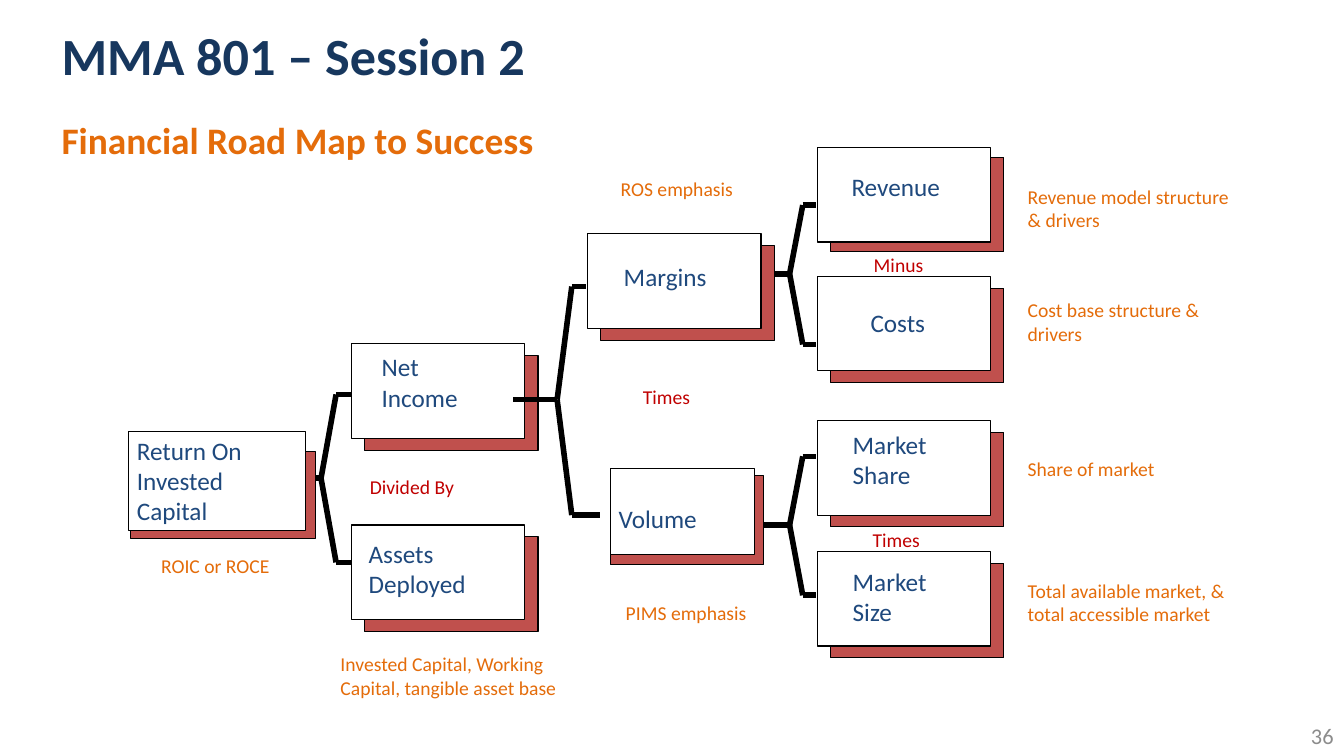
from lxml import etree
from pptx import Presentation
from pptx import util as u
from pptx.dml.color import RGBColor
from pptx.enum import shapes, text
from pptx.oxml.ns import qn

COLORS = {
    "navy": "17375E",
    "blue": "1F497D",
    "orange": "E46C0A",
    "red": "C00000",
    "brick": "C0504D",
    "white": "FFFFFF",
    "black": "000000",
    "gray": "8C8C8C",
}
FONT = "Calibri"
BOX_SIZE = (4.37, 2.39)
SHADOW_OFFSET = (0.33, 0.3)
BOX_INSETS = (0.2, 0.1)
NOTE_INSETS = (0.25, 0.13)


def color(name):
    return RGBColor.from_string(COLORS[name])


def place(shape, left, top, width, height):
    shape.left, shape.top = u.Cm(left), u.Cm(top)
    shape.width, shape.height = u.Cm(width), u.Cm(height)


def write(shape, lines, size, color_name, bold=False, insets=NOTE_INSETS,
          anchor=text.MSO_ANCHOR.TOP, align=text.PP_ALIGN.LEFT):
    frame = shape.text_frame
    frame.word_wrap = True
    frame.auto_size = text.MSO_AUTO_SIZE.NONE
    frame.vertical_anchor = anchor
    frame.margin_left = frame.margin_right = u.Cm(insets[0])
    frame.margin_top = frame.margin_bottom = u.Cm(insets[1])
    for index, line in enumerate(lines):
        paragraph = frame.add_paragraph() if index else frame.paragraphs[0]
        paragraph.alignment = align
        run = paragraph.add_run()
        run.text = line
        run.font.name = FONT
        run.font.size = u.Pt(size)
        run.font.bold = bold
        run.font.color.rgb = color(color_name)


def add_label(slide, box, lines, size, color_name, **options):
    shape = slide.shapes.add_textbox(*(u.Cm(length) for length in box))
    write(shape, lines, size, color_name, **options)


def add_rectangle(slide, box, fill):
    shape = slide.shapes.add_shape(
        shapes.MSO_SHAPE.RECTANGLE, *(u.Cm(length) for length in box))
    shape.shadow.inherit = False
    shape.fill.solid()
    shape.fill.fore_color.rgb = color(fill)
    shape.line.color.rgb = color("black")
    shape.line.width = u.Pt(0.75)
    return shape


def add_box(slide, left, top, size=BOX_SIZE, shadow=None):
    offset_x, offset_y = SHADOW_OFFSET
    add_rectangle(slide, shadow or (left + offset_x, top + offset_y, *size), "brick")
    return add_rectangle(slide, (left, top, *size), "white")


def add_line(slide, start, end):
    connector = slide.shapes.add_connector(
        shapes.MSO_CONNECTOR.STRAIGHT, *(u.Cm(length) for length in (*start, *end)))
    connector.line.color.rgb = color("black")
    connector.line.width = u.Pt(4)
    etree.SubElement(connector._element.spPr, qn("a:effectLst"))


def add_bracket(slide, start, joint, knee, middle, branches):
    add_line(slide, (start, middle), (joint, middle))
    for end, level in branches:
        add_line(slide, (joint, middle), (knee, level))
        add_line(slide, (knee, level), (end, level))


def add_headings(slide):
    title = slide.shapes.title
    place(title, 1.3, 0.18, 27.79, 2.39)
    write(title, ["MMA 801 – Session 2"], 37.3, "navy", bold=True,
          anchor=text.MSO_ANCHOR.MIDDLE)
    body = slide.placeholders[1]
    place(body, 1.3, 2.82, 31.37, 14.2)
    write(body, ["Financial Road Map to Success"], 26.7, "orange", bold=True)
    properties = body.text_frame.paragraphs[0]._p.get_or_add_pPr()
    properties.set("marL", "0")
    properties.set("indent", "0")
    etree.SubElement(properties, qn("a:buNone"))


def add_tree(slide):
    add_bracket(slide, 18.95, 19.9, 20.23, 6.9, [(20.57, 5.17), (20.57, 8.68)])
    add_bracket(slide, 18.95, 19.9, 20.23, 13.23, [(20.57, 11.5), (20.57, 15)])
    add_bracket(slide, 6.99, 8.09, 8.47, 12.05, [(8.85, 9.94), (8.85, 14.17)])

    add_box(slide, 20.6, 3.71, shadow=(20.93, 3.96, *BOX_SIZE))
    for left, top in [(20.6, 6.96), (20.6, 10.59), (20.6, 13.89),
                      (8.86, 8.66), (8.86, 13.23), (14.81, 5.89)]:
        add_box(slide, left, top)
    volume = add_box(slide, 15.39, 11.81, (3.63, 2.16), (15.39, 11.99, 3.86, 2.24))
    write(volume, ["Volume"], 18, "blue", insets=(0.2, 0.88))
    capital = add_box(slide, 3.25, 10.87, (4.45, 2.51), (3.28, 11.38, 4.67, 2.18))
    write(capital, ["Return On", "Invested Capital"], 18, "blue", insets=BOX_INSETS)

    add_bracket(slide, 12.93, 14.04, 14.41, 10.07, [(14.78, 7.22), (15.11, 12.98)])


def add_labels(slide):
    names = [
        (21.26, 4.22, ["Revenue"]),
        (21.74, 7.65, ["Costs"]),
        (15.52, 6.48, ["Margins"]),
        (9.42, 8.76, ["Net", "Income"]),
        (9.09, 13.46, ["Assets", "Deployed"]),
        (21.29, 10.72, ["Market", "Share"]),
        (21.29, 14.17, ["Market", "Size"]),
    ]
    for left, top, lines in names:
        add_label(slide, (left, top, 3.5, 0.4 + 0.8 * len(lines)), lines, 18, "blue",
                  insets=BOX_INSETS)

    operators = [
        (21.82, 6.27, "Minus"),
        (9.12, 11.86, "Divided By"),
        (21.79, 13.21, "Times"),
        (16, 9.6, "Times"),
    ]
    for left, top, operator in operators:
        add_label(slide, (left, top, 2.9, 0.79), [operator], 14, "red", insets=BOX_INSETS)

    notes = [
        (8.33, 16.31, 6.27, "Invested Capital, Working Capital, tangible asset base"),
        (25.65, 4.52, 5.69, "Revenue model structure & drivers"),
        (25.65, 7.39, 5.69, "Cost base structure & drivers"),
        (25.65, 14.45, 5.69, "Total available market, & total accessible market"),
        (25.65, 11.38, 4.32, "Share of market"),
        (15.52, 15.01, 3.66, "PIMS emphasis"),
        (15.39, 4.32, 3.66, "ROS emphasis"),
        (3.81, 13.84, 3.81, "ROIC or ROCE"),
    ]
    for left, top, width, note in notes:
        add_label(slide, (left, top, width, 1.45), [note], 14, "orange")


def main():
    presentation = Presentation()
    presentation.slide_width = u.Cm(33.87)
    presentation.slide_height = u.Cm(19.05)
    slide = presentation.slides.add_slide(presentation.slide_layouts[1])
    add_headings(slide)
    add_tree(slide)
    add_labels(slide)
    add_label(slide, (26.24, 18.03, 7.62, 1.02), ["36"], 16, "gray",
              anchor=text.MSO_ANCHOR.MIDDLE, align=text.PP_ALIGN.RIGHT)
    presentation.save("out.pptx")


if __name__ == "__main__":
    main()
